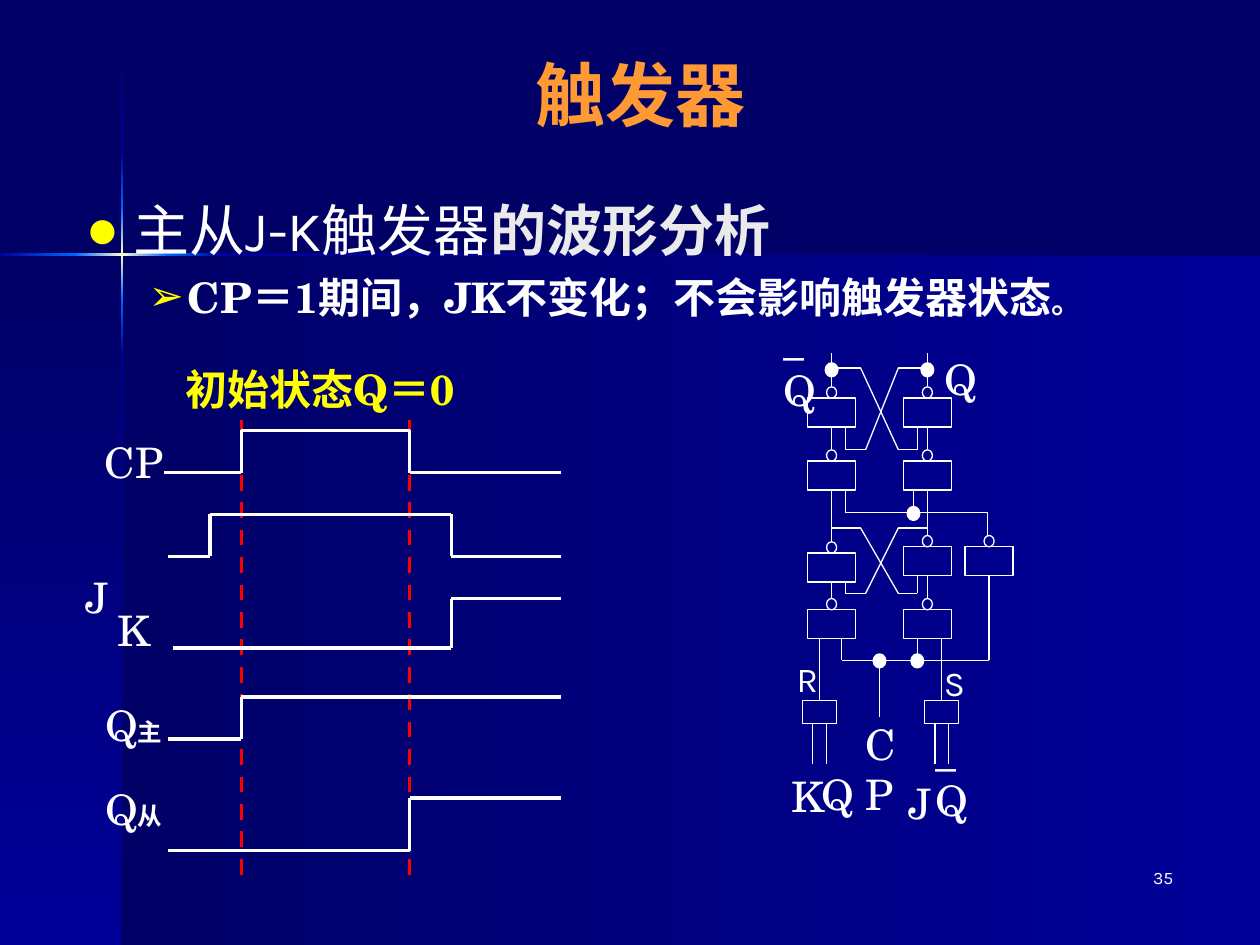
from dataclasses import dataclass
from itertools import pairwise

from lxml.etree import SubElement
from pptx import Presentation
from pptx.dml.color import RGBColor
from pptx.enum.dml import MSO_LINE_DASH_STYLE as Dash
from pptx.enum.shapes import MSO_CONNECTOR as Connector, MSO_SHAPE as Shape
from pptx.enum.text import MSO_ANCHOR as Anchor, MSO_AUTO_SIZE as AutoSize, PP_ALIGN as Align
from pptx.oxml.ns import qn
from pptx.slide import Slide
from pptx.util import Inches, Pt

COLORS = {
    "night": "000066", "navy": "000099", "glow": "0066FF", "spark": "FFFFCC",
    "white": "FFFFFF", "pale": "EAEAEA", "yellow": "FFFF00", "orange": "FF9933", "red": "FF0000",
}
SANS, SERIF = "Karla", "TeX Gyre Schola"
RIGHT, DOWN = 0, 270


def rgb(name):
    """Return the named colour."""
    return RGBColor.from_string(COLORS[name])


def write(paragraph, text, size=24, font=SERIF, color="white", bold=False):
    """Append one formatted run."""
    run = paragraph.add_run()
    run.text = text
    run.font.size, run.font.name, run.font.bold = Pt(size), font, bold
    run.font.color.rgb = rgb(color)


@dataclass
class Region:
    """A grid on the slide: its corner and cell size in inches."""
    slide: Slide
    left: float
    top: float
    unit: float

    def at(self, column, row):
        """Convert a grid point to a slide point."""
        return Inches(self.left + column * self.unit), Inches(self.top + row * self.unit)

    def box(self, column, row, columns, rows):
        """Convert a grid box to a slide box."""
        return *self.at(column, row), Inches(columns * self.unit), Inches(rows * self.unit)

    def shape(self, kind, *cells, fill=None, weight=0.75):
        """Draw a white outlined shape."""
        shape = self.slide.shapes.add_shape(kind, *self.box(*cells))
        shape.shadow.inherit = False
        shape.line.color.rgb, shape.line.width = rgb("white"), Pt(weight)
        if fill:
            shape.fill.solid()
            shape.fill.fore_color.rgb = rgb(fill)
        else:
            shape.fill.background()
        return shape

    def gradient(self, cells, start, end, angle):
        """Draw a borderless rectangle with a two-colour gradient."""
        panel = self.shape(Shape.RECTANGLE, *cells)
        panel.line.fill.background()
        panel.fill.gradient()
        panel.fill.gradient_angle = angle
        for stop, color, position in zip(panel.fill.gradient_stops, (start, end), (0, 1)):
            stop.color.rgb, stop.position = rgb(color), position

    def wire(self, *points, color="white", weight=0.75, dash=None):
        """Join grid points with straight lines and return them."""
        lines = []
        for start, end in pairwise(points):
            line = self.slide.shapes.add_connector(Connector.STRAIGHT, *self.at(*start), *self.at(*end))
            line.line.color.rgb, line.line.width = rgb(color), Pt(weight)
            if dash:
                line.line.dash_style = dash
            SubElement(line._element.spPr, qn("a:effectLst"))
            lines.append(line)
        return lines

    def label(self, cells, text, suffix="", align=Align.LEFT, wrap=True, **style):
        """Write a text box, one paragraph a line, with an optional small suffix."""
        frame = self.slide.shapes.add_textbox(*self.box(*cells)).text_frame
        frame.word_wrap, frame.auto_size = wrap, AutoSize.SHAPE_TO_FIT_TEXT
        for number, words in enumerate(text.split("\n")):
            paragraph = frame.add_paragraph() if number else frame.paragraphs[0]
            paragraph.alignment = align
            write(paragraph, words, **style)
        if suffix:
            write(paragraph, suffix, size=14, bold=True)


def draw_backdrop(region):
    """Draw the panels and the glowing cross on a grid of hundredths."""
    region.slide.background.fill.solid()
    region.slide.background.fill.fore_color.rgb = rgb("night")
    region.gradient((97, 202, 903, 548), "night", "navy", RIGHT)
    region.gradient((0, 202, 97, 548), "night", "navy", DOWN)
    shades = ("night", "navy", "glow", "spark", "glow", "navy", "night")
    for start, end, stops in zip(pairwise(shades), pairwise((1, 121, 165, 201.5, 238, 282, 750)), range(6)):
        region.gradient((96, end[0], 2, end[1] - end[0]), *start, DOWN)
    for start, end in zip(pairwise(shades[1:]), pairwise((0, 60, 96.5, 133, 177, 1000))):
        region.gradient((end[0], 201, end[1] - end[0], 2), *start, RIGHT)


def fill_title(title, cells):
    """Place and format the title."""
    title.left, title.top, title.width, title.height = cells
    frame = title.text_frame
    frame.vertical_anchor, frame.auto_size = Anchor.MIDDLE, AutoSize.NONE
    frame.paragraphs[0].alignment = Align.CENTER
    write(frame.paragraphs[0], "触发器", size=40, font=SANS, color="orange", bold=True)


def fill_body(body, cells):
    """Place the two-level bullet list."""
    body.left, body.top, body.width, body.height = cells
    frame = body.text_frame
    frame.auto_size = AutoSize.NONE
    topics = (
        ("●", 0.38, 0.38, [("主从J-K触发器", dict(size=32, font=SANS)),
                           ("的波形分析", dict(size=32, color="pale", bold=True))]),
        ("➢", 0.81, 0.31, [("CP＝1期间，JK不变化；不会影响触发器状态", dict(bold=True)),
                           ("。", dict(size=18, bold=True))]),
    )
    for level, (bullet, margin, hanging, runs) in enumerate(topics):
        paragraph = frame.add_paragraph() if level else frame.paragraphs[0]
        paragraph.level = level
        paragraph.space_before = Pt(5 * level)
        properties = paragraph._p.get_or_add_pPr()
        properties.set("marL", str(Inches(margin)))
        properties.set("indent", str(-Inches(hanging)))
        SubElement(SubElement(properties, qn("a:buClr")), qn("a:srgbClr"), val=COLORS["yellow"])
        SubElement(properties, qn("a:buChar"), char=bullet)
        for text, style in runs:
            write(paragraph, text, **style)


def draw_waveforms(region):
    """Draw the timing diagram on a grid of twelfths of an inch."""
    rise, fall, finish = 17, 33, 47.4
    for edge in (rise, fall):
        region.wire((edge, 7), (edge, 50.4), color="red", weight=2.25, dash=Dash.DASH)
    region.label((8, 1, 33, 6), "初始状态Q＝0", align=Align.CENTER, color="yellow", bold=True)
    signals = (
        (9.6, 12, 8, (rise, fall)), (10, 20, 16, (14, 37)), (10.5, 28.7, 24, (37,)),
        (10, 37.4, 33.4, (rise,)), (10, 48, 43, (fall,)),
    )
    for start, low, high, edges in signals:
        points, level, other = [(start, low)], low, high
        for edge in edges:
            points += [(edge, level), (edge, other)]
            level, other = other, level
        region.wire(*points, (finish, level), weight=2.25)
    region.label((2, 8, 9.5, 6), "CP", align=Align.CENTER)
    region.label((1, 20.8, 7.5, 6), "J")
    region.label((4, 24, 6, 6), "K")
    for row, stage in ((33, "主"), (41, "从")):
        region.label((2.5, row, 8.5, 6), "Q", suffix=stage, align=Align.CENTER)


def draw_gate(region, column, row):
    """Draw a gate with its inverting bubble and return the gate body."""
    region.shape(Shape.OVAL, column - 4, row - 9, 8, 9)
    return region.shape(Shape.RECTANGLE, column - 19, row, 38, 23)


def draw_latch(region, start, top, bottom, gate_rows, input_row):
    """Draw a cross-coupled latch and return its two input gates."""
    inputs = []
    crossings = ((60, 83, 113, 128), (136, 113, 87, 71))
    for (column, bend, foot, pin), row, other_row in zip(crossings, gate_rows, gate_rows[::-1]):
        region.wire((column, start), (column, row - 9))
        region.wire((column, top), (bend, top), (foot, bottom), (pin, bottom), (pin, other_row + 23))
        gate = draw_gate(region, column, row)
        link, = region.wire((column, row + 23), (column, input_row - 9))
        link.begin_connect(gate, 2)
        inputs.append(draw_gate(region, column, input_row))
    return inputs


def draw_circuit(region):
    """Draw the master-slave circuit on a grid of hundredths of an inch."""
    draw_latch(region, 80, 92, 157, (116, 116), 166)
    draw_latch(region, 189, 219, 271, (239, 234), 284)
    inverter = draw_gate(region, 185, 234)
    region.wire((71, 189), (71, 207), (184, 207), (184, 225))
    region.wire((125, 189), (125, 207))
    clock = region.wire((68, 306), (68, 324), (185, 324), (185, 257))
    clock[-1].end_connect(inverter, 2)
    region.wire((128, 306), (128, 324))
    region.wire((98, 324), (98, 369))
    for column, row in ((125, 207), (128, 324), (98, 324), (136, 93), (60, 93)):
        region.shape(Shape.OVAL, column - 4, row - 4, 8, 9, fill="white", weight=2.25)
    for left in (37, 134):
        gate = region.shape(Shape.RECTANGLE, left, 356, 27, 18)
        feed, = region.wire((left + 13.5, 306), (left + 13.5, 356))
        feed.end_connect(gate, 0)
        for leg in (8, 19):
            region.wire((left + leg, 374), (left + leg, 406))
    for cells, text in (((12, 44, 23, 49), "_\nQ"), ((77, 365, 65, 40), "CP"), ((133, 370, 62, 73), "_\nQ")):
        region.label(cells, text)
    for cells, text in (((140, 76, 21, 27), "Q"), ((18, 407, 20, 27), "K"),
                        ((42, 405, 21, 27), "Q"), ((114, 412, 17, 27), "J")):
        region.label(cells, text, wrap=False)
    for cells, text in (((23, 317, 19, 24), "R"), ((140, 320, 19, 24), "S")):
        region.label(cells, text, size=20, font=SANS)


def main():
    """Build and save the slide."""
    deck = Presentation()
    deck.slide_width, deck.slide_height = Inches(10), Inches(7.5)
    slide = deck.slides.add_slide(deck.slide_layouts[1])
    page = Region(slide, 0, 0, 0.01)
    draw_backdrop(page)
    title, body = slide.placeholders
    for holder in (title, body):
        slide.shapes._spTree.append(holder._element)
    fill_title(title, page.box(50, 33, 917, 83))
    fill_body(body, page.box(58, 150, 900, 517))
    page.label((733, 683, 208, 50), "35", align=Align.RIGHT, size=10, font=SANS)
    draw_waveforms(Region(slide, 0.5, 2.75, 1 / 12))
    draw_circuit(Region(slide, 6, 2, 0.01))
    deck.save("out.pptx")


if __name__ == "__main__":
    main()
